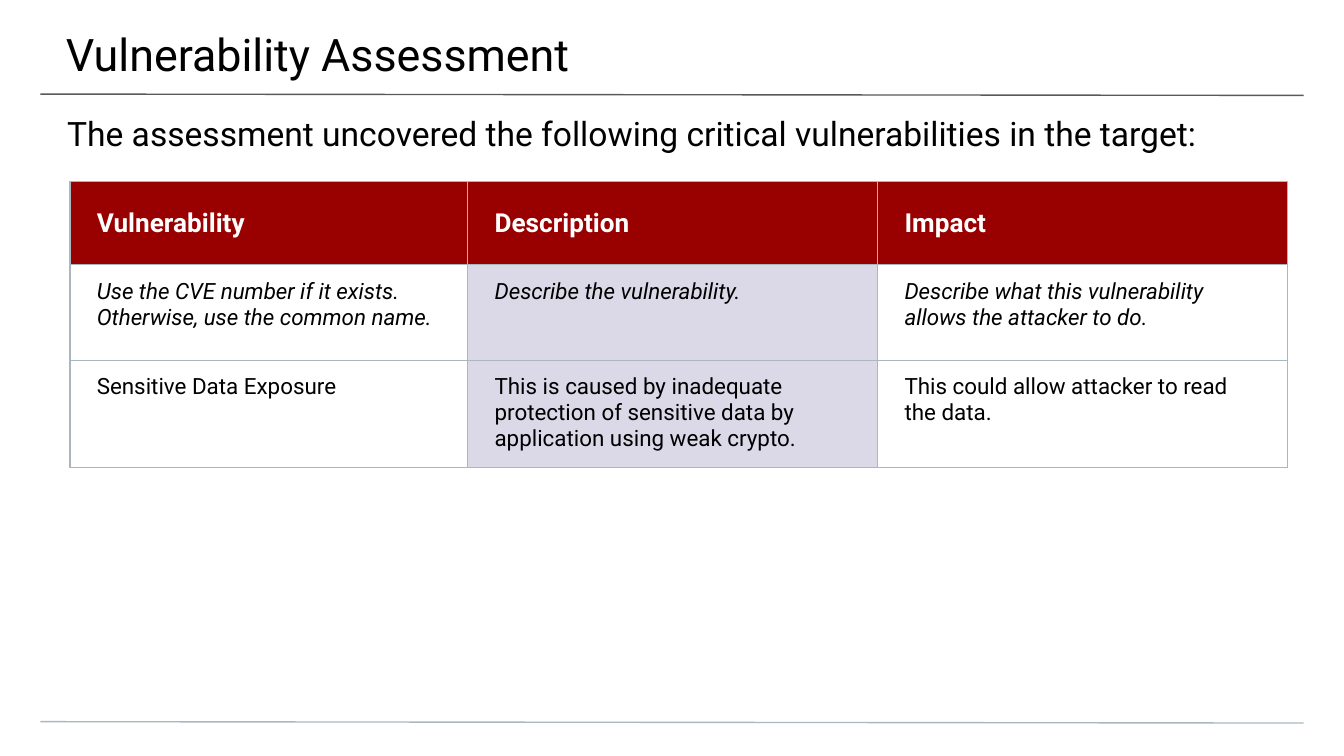
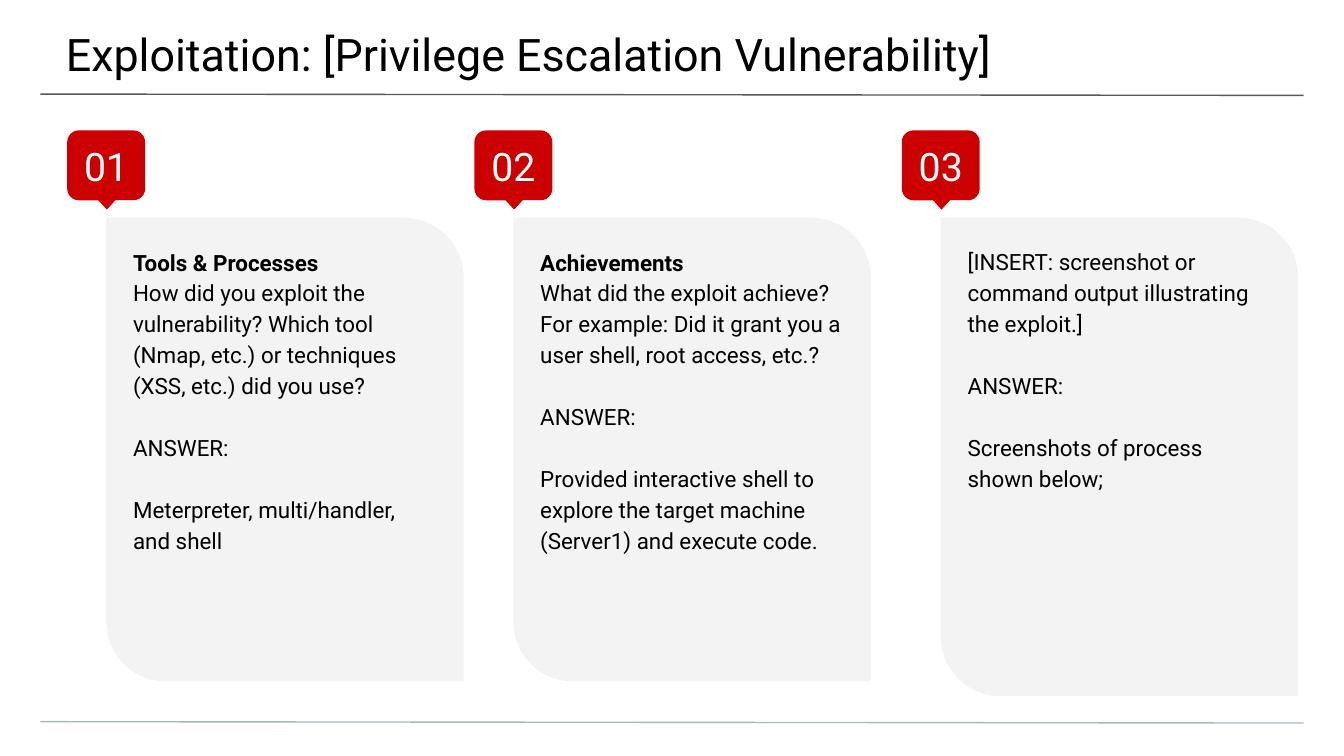
from lxml.etree import SubElement
from pptx import Presentation
from pptx.dml.color import RGBColor
from pptx.enum.shapes import MSO_CONNECTOR, MSO_SHAPE as Preset
from pptx.enum.text import MSO_ANCHOR as Anchor, PP_ALIGN as Align
from pptx.oxml.ns import qn
from pptx.util import Inches, Pt

FONT = "Roboto"
BLACK, WHITE = "000000", "FFFFFF"
RULE, PALE_RULE = "595959", "A9B7C0"
HEADER_RED, BADGE_RED = "990000", "CC0000"
LILAC, PANEL = "DBD9E8", "F3F3F3"
SIDES = ("left", "top", "right", "bottom")
CARD_LINE, BLANK_LINE = 1.15, 16.6


def colour(value):
    """Return the RGB colour of a hex string."""
    return RGBColor.from_string(value)


def inches(*values):
    """Return the values as lengths in inches."""
    return [Inches(value) for value in values]


def format_para(para, text, size, hue=BLACK, **formats):
    """Write text into a paragraph and format its run."""
    span = para.add_run()
    span.text = text
    span.font.color.rgb = colour(hue)
    for name, value in {"name": FONT, "size": Pt(size), **formats}.items():
        setattr(span.font, name, value)


def set_insets(target, insets):
    """Set the left, top, right and bottom margins of a frame or cell."""
    for side, value in zip(SIDES, insets):
        setattr(target, f"margin_{side}", Inches(value))


def add_text(page, box, insets):
    """Add a wrapping text box and return its frame."""
    frame = page.shapes.add_textbox(*inches(*box)).text_frame
    frame.word_wrap = True
    set_insets(frame, insets)
    return frame


def add_rule(page, top, hue):
    """Draw a thin rule across the page."""
    rule = page.shapes.add_connector(
        MSO_CONNECTOR.STRAIGHT, *inches(0.3, top, 9.7, top + 0.01))
    rule.line.color.rgb = colour(hue)
    rule.line.width = Pt(0.75)
    SubElement(rule._element.spPr, qn("a:effectLst"))


def add_solid(shapes, preset, box, hue):
    """Add a plain filled shape."""
    shape = shapes.add_shape(preset, *inches(*box))
    shape.shadow.inherit = False
    shape.fill.solid()
    shape.fill.fore_color.rgb = colour(hue)
    shape.line.fill.background()
    return shape


def add_page(deck, title):
    """Add a page with its title and the shared rules."""
    page = deck.slides.add_slide(deck.slide_layouts[6])
    add_rule(page, 0.7, RULE)
    add_rule(page, 5.37, PALE_RULE)
    frame = add_text(page, (-0.01, 0, 10.03, 0.58), (0.5, 0.2, 0.3, 0.1))
    format_para(frame.paragraphs[0], title, 24)
    return page


def border_cell(cell):
    """Give a cell a thin line on all four sides."""
    properties = cell._tc.get_or_add_tcPr()
    for tag in ("lnL", "lnR", "lnT", "lnB"):
        line = SubElement(properties, qn(f"a:{tag}"), w=str(Pt(0.75)))
        fill = SubElement(line, qn("a:solidFill"))
        SubElement(fill, qn("a:srgbClr"), val=PALE_RULE)


def fill_cell(cell, text, row, column):
    """Format one cell by its row and column."""
    set_insets(cell, (0.2, 0.1, 0.2, 0.1))
    border_cell(cell)
    header = row == 0
    hue = HEADER_RED if header else LILAC if column == 1 else None
    if hue:
        cell.fill.solid()
        cell.fill.fore_color.rgb = colour(hue)
    else:
        cell.fill.background()
    cell.vertical_anchor = Anchor.MIDDLE if header else Anchor.TOP
    format_para(cell.text_frame.paragraphs[0], text, 14 if header else 12,
                WHITE if header else BLACK, bold=header, italic=row == 1)


def add_findings(page, left, top, widths, heights, rows):
    """Add the table of vulnerabilities."""
    table = page.shapes.add_table(
        len(rows), len(widths),
        *inches(left, top, sum(widths), sum(heights))).table
    table.horz_banding = False
    for column, width in zip(table.columns, widths):
        column.width = Inches(width)
    for row, height in zip(table.rows, heights):
        row.height = Inches(height)
    for r, texts in enumerate(rows):
        for c, text in enumerate(texts):
            fill_cell(table.cell(r, c), text, r, c)


def add_badge(page, left, top, number):
    """Add a numbered badge with a pointer below it."""
    group = page.shapes.add_group_shape()
    badge = add_solid(group.shapes, Preset.ROUNDED_RECTANGLE,
                      (left, top, 0.58, 0.52), BADGE_RED)
    frame = badge.text_frame
    set_insets(frame, [0.1] * 4)
    frame.vertical_anchor = Anchor.MIDDLE
    para = frame.paragraphs[0]
    para.alignment = Align.CENTER
    format_para(para, f"{number:02}", 21, WHITE)
    pointer = add_solid(group.shapes, Preset.FLOWCHART_EXTRACT,
                        (left + 0.15, top + 0.43, 0.29, 0.16), BADGE_RED)
    pointer.rotation = 180


def add_card(page, box, number, text_width, heading, question, answer):
    """Add a panel with its badge, heading, question and answer."""
    left, top, width, height = box
    panel = add_solid(page.shapes, Preset.ROUND_2_DIAG_RECTANGLE, box, PANEL)
    panel.adjustments[0], panel.adjustments[1] = 0, 0.167
    add_badge(page, left - 0.29, top - 0.65, number)
    frame = add_text(page, (left, top, text_width, height), [0.2] * 4)
    lines = [(question, False, 0), ("ANSWER:", False, BLANK_LINE),
             (answer, False, BLANK_LINE)]
    if heading:
        lines.insert(0, (heading, True, 0))
    for index, (text, bold, gap) in enumerate(lines):
        para = frame.add_paragraph() if index else frame.paragraphs[0]
        para.line_spacing = CARD_LINE
        para.space_before = Pt(gap)
        format_para(para, text, 12, bold=bold)


def build_assessment(deck):
    """Build the page that lists the vulnerabilities."""
    page = add_page(deck, "Vulnerability Assessment")
    frame = add_text(page, (0, 0.74, 10, 0.4), (0.5, 0.1, 0.5, 0))
    format_para(frame.paragraphs[0], "The assessment uncovered the following "
                "critical vulnerabilities in the target:", 18)
    add_findings(page, 0.52, 1.35, (2.96, 3.05, 3.05), (0.62, 0.71, 0.62), [
        ("Vulnerability", "Description", "Impact"),
        ("Use the CVE number if it exists. Otherwise, use the common name.",
         "Describe the vulnerability.",
         "Describe what this vulnerability allows the attacker to do."),
        ("Sensitive Data Exposure",
         "This is caused by inadequate protection of sensitive data by "
         "application using weak crypto.",
         "This could allow attacker to read the data."),
    ])


def build_exploitation(deck):
    """Build the page with the three exploitation cards."""
    page = add_page(deck, "Exploitation: [Privilege Escalation Vulnerability]")
    cards = [
        (0.79, 3.45, 2.59, "Tools & Processes",
         "How did you exploit the vulnerability? Which tool (Nmap, etc.) or "
         "techniques (XSS, etc.) did you use?",
         "Meterpreter, multi/handler, and shell"),
        (3.82, 3.45, 2.66, "Achievements",
         "What did the exploit achieve? For example: Did it grant you a user "
         "shell, root access, etc.?",
         "Provided interactive shell to explore the target machine (Server1) "
         "and execute code."),
        (7, 3.56, 2.59, None,
         "[INSERT: screenshot or command output illustrating the exploit.]",
         "Screenshots of process shown below;"),
    ]
    for number, (left, height, *content) in enumerate(cards, 1):
        add_card(page, (left, 1.62, 2.66, height), number, *content)


def main():
    """Build and save the deck."""
    deck = Presentation()
    deck.slide_width = Inches(10)
    deck.slide_height = deck.slide_width * 9 // 16
    build_assessment(deck)
    build_exploitation(deck)
    deck.save("out.pptx")


if __name__ == "__main__":
    main()
